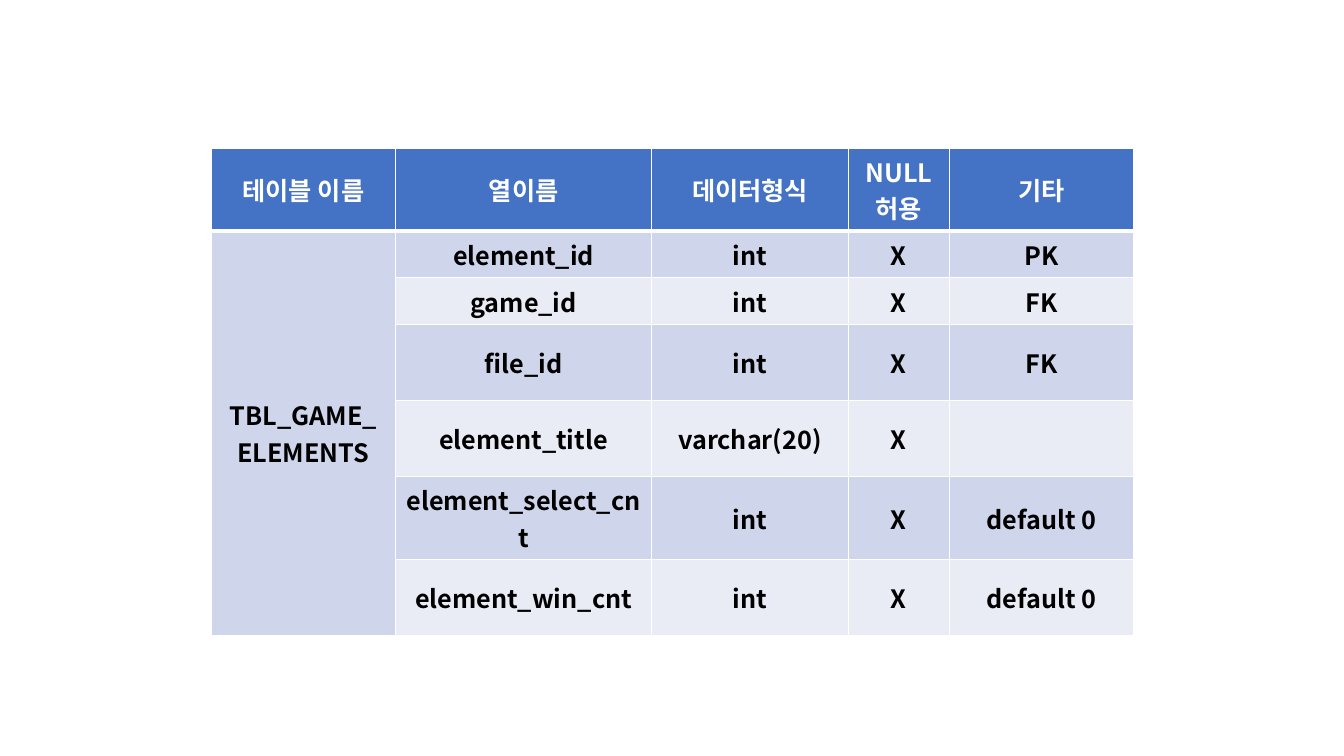
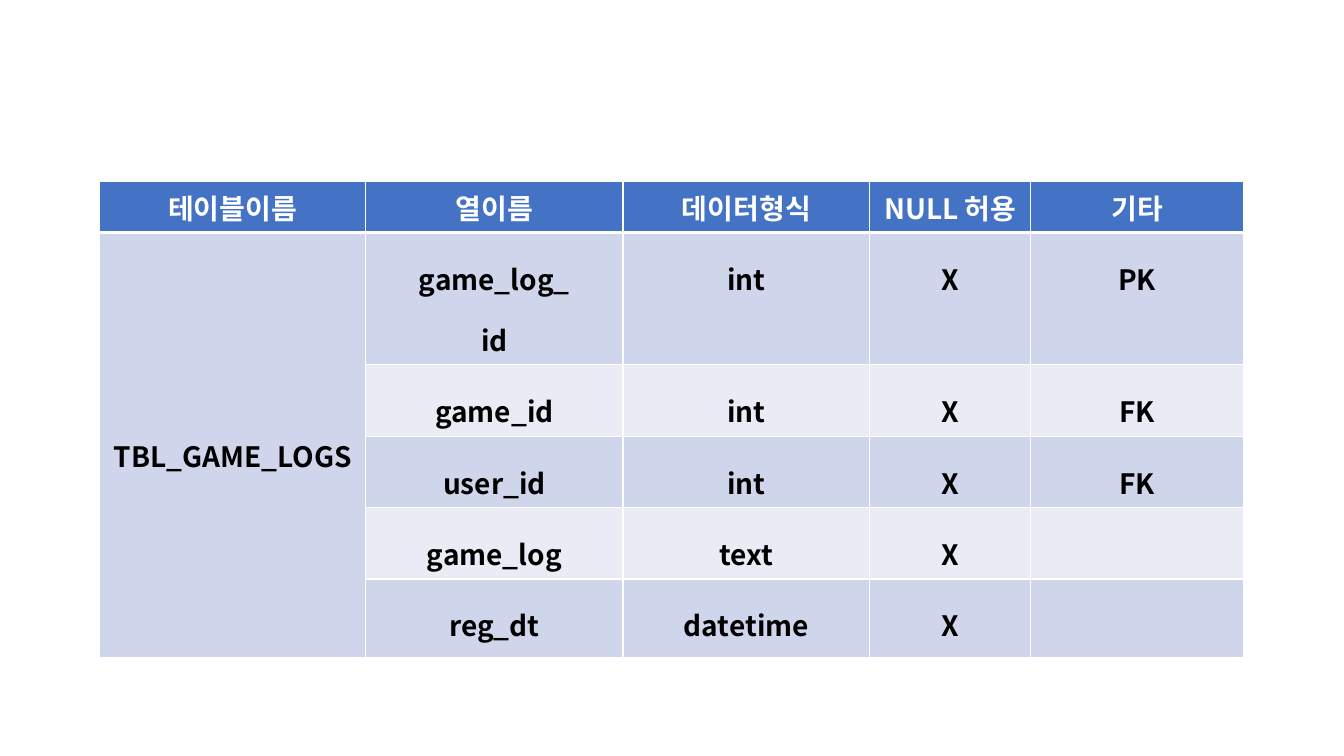
"""Build two slides that describe database tables."""
import dataclasses

import pptx
import pptx.dml.color
import pptx.enum.text
import pptx.oxml
import pptx.oxml.ns
import pptx.util

Cm = pptx.util.Cm
Pt = pptx.util.Pt
Anchor = pptx.enum.text.MSO_ANCHOR


@dataclasses.dataclass(frozen=True)
class Theme:
    font: str = "Noto Sans CJK KR"
    header_fill: str = "4472C4"
    bands: tuple = ("CFD5EA", "E9EBF5")
    light: str = "FFFFFF"
    dark: str = "000000"
    small: int = 18
    large: int = 20
    rule: int = 1
    header_rule: int = 3


THEME = Theme()


@dataclasses.dataclass(frozen=True)
class Schema:
    name: str
    headers: tuple
    fields: tuple
    left: float
    top: float
    widths: tuple
    heights: tuple
    size: int
    anchor: Anchor
    line_spacing: float


ELEMENTS = Schema(
    name="TBL_GAME_\nELEMENTS",
    headers=("테이블 이름", "열이름", "데이터형식", "NULL허용", "기타"),
    fields=(
        ("element_id", "int", "X", "PK"),
        ("game_id", "int", "X", "FK"),
        ("file_id", "int", "X", "FK"),
        ("element_title", "varchar(20)", "X", ""),
        ("element_select_cnt", "int", "X", "default 0"),
        ("element_win_cnt", "int", "X", "default 0"),
    ),
    left=5.32,
    top=3.73,
    widths=(4.65, 6.45, 4.96, 2.54, 4.65),
    heights=(2.08, 1.17, 1.17, 1.92, 1.92, 2.08, 1.9),
    size=THEME.small,
    anchor=Anchor.MIDDLE,
    line_spacing=1.0,
)

LOGS = Schema(
    name="TBL_GAME_LOGS",
    headers=("테이블이름", "열이름", "데이터형식", "NULL 허용", "기타"),
    fields=(
        ("game_log_\nid", "int", "X", "PK"),
        ("game_id", "int", "X", "FK"),
        ("user_id", "int", "X", "FK"),
        ("game_log", "text", "X", ""),
        ("reg_dt", "datetime", "X", ""),
    ),
    left=2.51,
    top=4.58,
    widths=(6.71, 6.48, 6.22, 4.06, 5.36),
    heights=(1.25, 3.33, 1.8, 1.8, 1.8, 1.98),
    size=THEME.large,
    anchor=Anchor.TOP,
    line_spacing=1.5,
)


def color(value):
    return pptx.dml.color.RGBColor.from_string(value)


def write_text(frame, text, *, size, ink, line_spacing=1.0):
    para = frame.paragraphs[0]
    para.text = text
    para.alignment = pptx.enum.text.PP_ALIGN.CENTER
    para.line_spacing = line_spacing
    for span in para.runs:
        span.font.size = Pt(size)
        span.font.bold = True
        span.font.name = THEME.font
        span.font.color.rgb = color(ink)
        east_asian = pptx.oxml.parse_xml(
            f'<a:ea {pptx.oxml.ns.nsdecls("a")} typeface="{THEME.font}"/>'
        )
        span.font._element.append(east_asian)


def add_borders(cell, bottom):
    properties = cell._tc.get_or_add_tcPr()
    rules = {"lnL": THEME.rule, "lnR": THEME.rule, "lnT": THEME.rule, "lnB": bottom}
    for tag, width in rules.items():
        properties.append(pptx.oxml.parse_xml(
            f'<a:{tag} {pptx.oxml.ns.nsdecls("a")} w="{Pt(width)}"><a:solidFill>'
            f'<a:srgbClr val="{THEME.light}"/></a:solidFill></a:{tag}>'
        ))


def format_cell(cell, text, *, fill, anchor, bottom=THEME.rule, **text_format):
    add_borders(cell, bottom)
    cell.fill.solid()
    cell.fill.fore_color.rgb = color(fill)
    cell.vertical_anchor = anchor
    write_text(cell.text_frame, text, **text_format)


def add_schema_table(slide, schema):
    rows, columns = len(schema.heights), len(schema.widths)
    table = slide.shapes.add_table(
        rows, columns, Cm(schema.left), Cm(schema.top),
        Cm(sum(schema.widths)), Cm(sum(schema.heights)),
    ).table
    for column, width in zip(table.columns, schema.widths):
        column.width = Cm(width)
    for row, height in zip(table.rows, schema.heights):
        row.height = Cm(height)
    for index, header in enumerate(schema.headers):
        format_cell(table.cell(0, index), header, fill=THEME.header_fill,
                    anchor=schema.anchor, bottom=THEME.header_rule,
                    size=schema.size, ink=THEME.light)
    for row, field in enumerate(schema.fields, start=1):
        band = THEME.bands[(row - 1) % len(THEME.bands)]
        name = schema.name if row == 1 else ""
        for index, text in enumerate((name, *field)):
            format_cell(table.cell(row, index), text,
                        fill=band if index else THEME.bands[0],
                        anchor=schema.anchor if index else Anchor.MIDDLE,
                        size=schema.size, ink=THEME.dark,
                        line_spacing=schema.line_spacing)
    table.cell(1, 0).merge(table.cell(rows - 1, 0))


def main():
    deck = pptx.Presentation()
    deck.slide_width, deck.slide_height = Cm(33.87), Cm(19.05)
    blank = deck.slide_layouts.get_by_name("Blank")
    for schema in (ELEMENTS, LOGS):
        add_schema_table(deck.slides.add_slide(blank), schema)
    deck.save("out.pptx")


if __name__ == "__main__":
    main()
